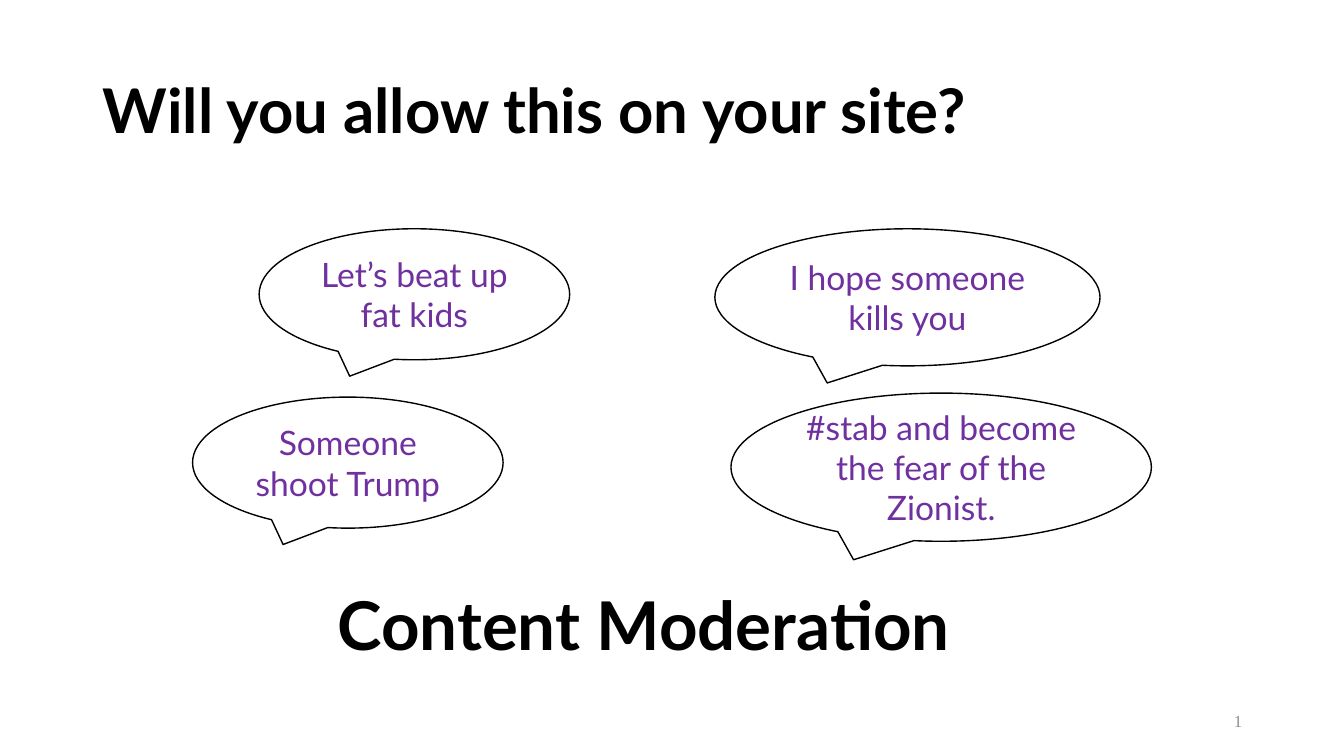
from pptx import Presentation
from pptx.dml.color import RGBColor
from pptx.enum.shapes import MSO_SHAPE
from pptx.enum.text import MSO_ANCHOR, PP_ALIGN
from pptx.util import Inches, Pt

CALLOUT = MSO_SHAPE.OVAL_CALLOUT
MIDDLE, TOP = MSO_ANCHOR.MIDDLE, MSO_ANCHOR.TOP
LEFT, CENTER, RIGHT = PP_ALIGN.LEFT, PP_ALIGN.CENTER, PP_ALIGN.RIGHT

POSTS = [
    ("I hope someone kills you", (7.09, 2.27, 3.82, 1.36)),
    ("Let’s beat up fat kids", (2.57, 2.27, 3.08, 1.3)),
    ("Someone shoot Trump", (1.91, 3.94, 3.08, 1.3)),
    ("#stab and become the fear of the Zionist.", (7.25, 3.9, 4.17, 1.47)),
]


def color(hex_value):
    return RGBColor.from_string(hex_value)


def write(frame, text, size, hex_value, font="Lato", bold=False,
          align=LEFT, anchor=MIDDLE, wrap=True):
    frame.word_wrap = wrap
    frame.vertical_anchor = anchor
    paragraph = frame.paragraphs[0]
    paragraph.text = text
    paragraph.alignment = align
    paragraph.font.name = font
    paragraph.font.size = Pt(size)
    paragraph.font.bold = bold
    paragraph.font.color.rgb = color(hex_value)
    return paragraph


def add_label(slide, box, text, size, hex_value, **style):
    label = slide.shapes.add_textbox(*map(Inches, box))
    return write(label.text_frame, text, size, hex_value, **style)


def add_post(slide, box, text):
    bubble = slide.shapes.add_shape(CALLOUT, *map(Inches, box))
    bubble.shadow.inherit = False
    bubble.fill.solid()
    bubble.fill.fore_color.rgb = color("FFFFFF")
    bubble.line.color.rgb = color("000000")
    bubble.line.width = Pt(1)
    write(bubble.text_frame, text, 24, "7030A0", align=CENTER)


def build_slide(deck):
    slide = deck.slides.add_slide(deck.slide_layouts[6])
    question = add_label(slide, (0.92, 0.4, 11.5, 1.45),
                         "Will you allow this on your site?", 44, "000000", bold=True)
    question.line_spacing = 0.9
    add_label(slide, (9.42, 6.95, 3, 0.4), "1", 12, "8C8C8C",
              font="Times New Roman", align=RIGHT)
    for text, box in POSTS:
        add_post(slide, box, text)
    add_label(slide, (3.25, 5.74, 6.84, 0.91), "Content Moderation", 48, "000000",
              bold=True, anchor=TOP)


def main():
    deck = Presentation()
    deck.slide_width, deck.slide_height = Inches(13.33), Inches(7.5)
    build_slide(deck)
    deck.save("out.pptx")


if __name__ == "__main__":
    main()
